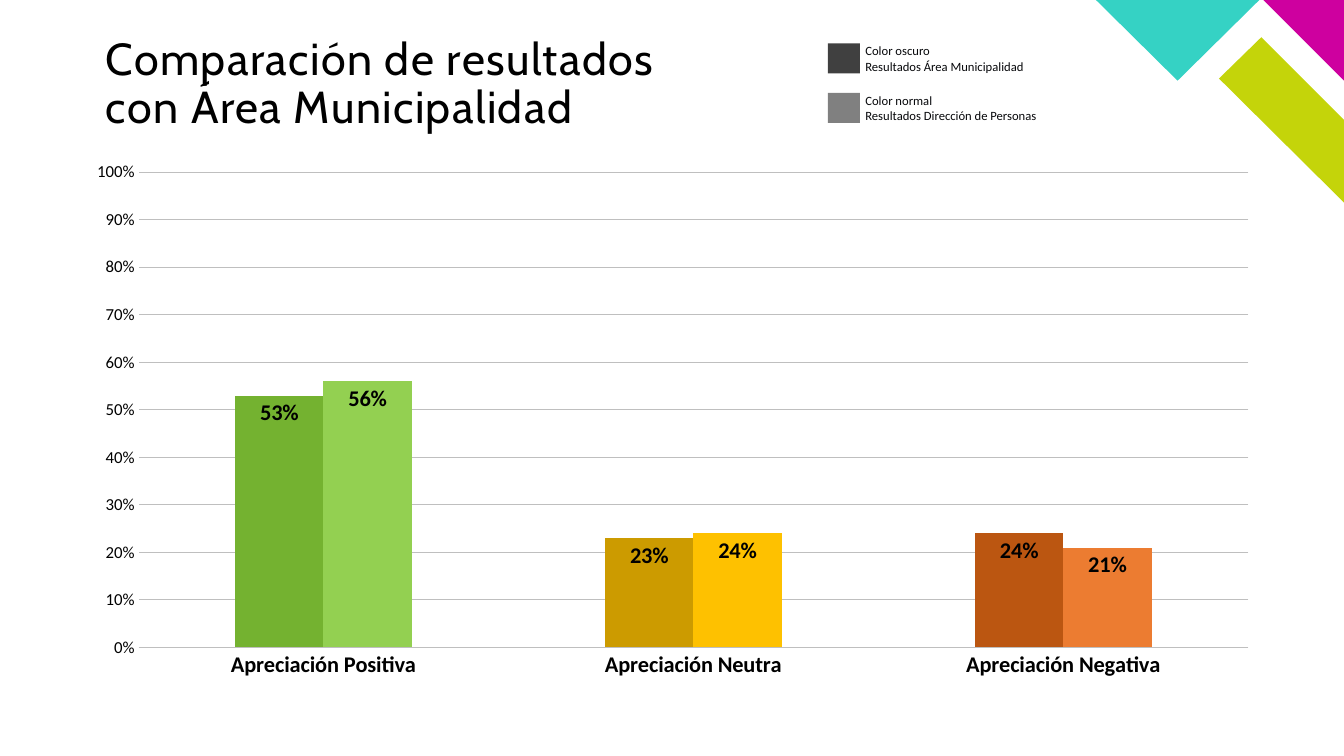
from lxml import etree
from pptx import Presentation
from pptx import util as u
from pptx.chart.data import CategoryChartData
from pptx.dml.color import RGBColor
from pptx.enum import chart as charts, shapes, text
from pptx.oxml import parse_xml
from pptx.oxml.ns import nsdecls

COLORS = {
    "black": "000000", "ink": "07080B", "grid": "BFBFBF",
    "lime": "C4D40A", "magenta": "CE009F", "turquoise": "35D2C4",
    "dark gray": "404040", "gray": "808080",
    "dark green": "74B230", "green": "93D051",
    "dark amber": "CC9B00", "amber": "FEC100",
    "dark orange": "BB5611", "orange": "EC7C31",
}


def rgb(name):
    return RGBColor.from_string(COLORS[name])


class SlideBuilder:
    """Places elements by percentages of the slide's width and height."""

    def __init__(self, presentation):
        self.width = presentation.slide_width
        self.height = presentation.slide_height
        self.slide = presentation.slides.add_slide(presentation.slide_layouts[5])
        self.heading_font, self.body_font = "Cabin", "Calibri"

    def point(self, x, y):
        return round(self.width * x / 100), round(self.height * y / 100)

    def box(self, left, top, width, height):
        return self.point(left, top) + self.point(width, height)

    def style(self, font, size, color, bold=False, name=None):
        font.name = name or self.body_font
        font.size = u.Pt(size)
        font.bold = bold
        font.color.rgb = rgb(color)

    def paint(self, shape, color):
        shape.fill.solid()
        shape.fill.fore_color.rgb = rgb(color)
        shape.line.fill.background()
        shape.shadow.inherit = False

    def polygon(self, color, corners):
        points = [self.point(*corner) for corner in corners]
        builder = self.slide.shapes.build_freeform(*points[0])
        builder.add_line_segments(points[1:], close=True)
        self.paint(builder.convert_to_shape(), color)

    def title(self, wording, *area):
        shape = self.slide.shapes.title
        shape.left, shape.top, shape.width, shape.height = self.box(*area)
        frame = shape.text_frame
        frame.text = wording
        frame.word_wrap = True
        frame.auto_size = text.MSO_AUTO_SIZE.NONE
        frame.vertical_anchor = text.MSO_ANCHOR.TOP
        frame.margin_left = frame.margin_right = 0
        frame.margin_top = frame.margin_bottom = 0
        paragraph = frame.paragraphs[0]
        paragraph.alignment = text.PP_ALIGN.LEFT
        paragraph.line_spacing = 0.9
        self.style(paragraph.font, 32, "black", name=self.heading_font)
        # Letter spacing of one point
        paragraph.runs[0].font._element.set("spc", "100")

    def swatch(self, color, *area):
        shape = self.slide.shapes.add_shape(
            shapes.MSO_SHAPE.RECTANGLE, *self.box(*area))
        self.paint(shape, color)

    def label(self, lines, *area):
        frame = self.slide.shapes.add_textbox(*self.box(*area)).text_frame
        frame.word_wrap = True
        frame.text = "\n".join(lines)
        for paragraph in frame.paragraphs:
            self.style(paragraph.font, 9, "ink")

    def column_chart(self, categories, series_values, series_colors, *area):
        data = CategoryChartData(number_format="0%")
        data.categories = categories
        for name, values in series_values.items():
            data.add_series(name, values)
        chart = self.slide.shapes.add_chart(
            charts.XL_CHART_TYPE.COLUMN_CLUSTERED, *self.box(*area), data).chart
        chart.has_legend = chart.has_title = False
        self.style(chart.font, 10, "black")

        plot = chart.plots[0]
        plot.gap_width, plot.overlap = 219, 0
        plot.vary_by_categories = False
        for series, colors in zip(plot.series, series_colors):
            for index, color in enumerate(colors):
                fill = series.points[index].format.fill
                fill.solid()
                fill.fore_color.rgb = rgb(color)
            labels = series.data_labels
            labels.show_value = True
            labels.number_format, labels.number_format_is_linked = "0%", False
            labels.position = charts.XL_LABEL_POSITION.INSIDE_END
            self.style(labels.font, 16, "black", bold=True)

        self.axes(chart)
        self.plot_area(chart, x=0.055, y=0.039, w=0.925, h=0.883)

    def axes(self, chart):
        category, value = chart.category_axis, chart.value_axis
        for axis in (category, value):
            axis.major_tick_mark = axis.minor_tick_mark = charts.XL_TICK_MARK.NONE
        self.style(category.tick_labels.font, 16, "black", bold=True)
        self.style(value.tick_labels.font, 12, "black")
        value.minimum_scale, value.maximum_scale, value.major_unit = 0, 1, 0.1
        value.tick_labels.number_format = "0%"
        value.tick_labels.number_format_is_linked = False
        value.format.line.fill.background()
        value.has_major_gridlines = True
        for line, width in ((category.format.line, 0.75),
                            (value.major_gridlines.format.line, 0.5)):
            line.color.rgb = rgb("grid")
            line.width = u.Pt(width)

    def plot_area(self, chart, **shares):
        layout = parse_xml(
            f'<c:layout {nsdecls("c")}><c:manualLayout><c:layoutTarget val="inner"/>'
            '<c:xMode val="edge"/><c:yMode val="edge"/></c:manualLayout></c:layout>')
        for side, share in shares.items():
            tag = etree.QName(layout.nsmap["c"], side)
            etree.SubElement(layout[0], tag).set("val", str(share))
        area = chart._chartSpace.chart.plotArea
        for previous in area.findall(layout.tag):
            area.remove(previous)
        area.insert(0, layout)


def main():
    presentation = Presentation()
    presentation.slide_width = u.Inches(13.33)
    presentation.slide_height = u.Inches(7.5)
    builder = SlideBuilder(presentation)

    # Corner decoration
    builder.polygon("lime", [(100, 26.8), (100, 15.87), (93.85, 4.93), (90.7, 10.4)])
    builder.polygon("magenta", [(100, 10.67), (100, 0), (94, 0)])
    builder.polygon("turquoise", [(81.55, 0), (87.62, 10.67), (93.7, 0)])

    builder.title("Comparación de resultados con Área Municipalidad",
                  7.88, 4.8, 44.41, 8.93)

    # Results of both groups
    builder.column_chart(
        ["Apreciación Positiva", "Apreciación Neutra", "Apreciación Negativa"],
        {"Área Municipalidad": (0.53, 0.23, 0.24),
         "Dirección de Personas": (0.56, 0.24, 0.21)},
        [("dark green", "dark amber", "dark orange"), ("green", "amber", "orange")],
        5.4, 20, 89.27, 71.2)

    # Key to the shades
    key = [("dark gray", "Color oscuro", "Resultados Área Municipalidad"),
           ("gray", "Color normal", "Resultados Dirección de Personas")]
    for row, (color, *lines) in enumerate(key):
        offset = row * 6.55
        builder.swatch(color, 61.59, 5.73 + offset, 2.4, 4)
        builder.label(lines, 63.65, 5.07 + offset, 23.9, 5.33)

    presentation.save("out.pptx")


if __name__ == "__main__":
    main()
